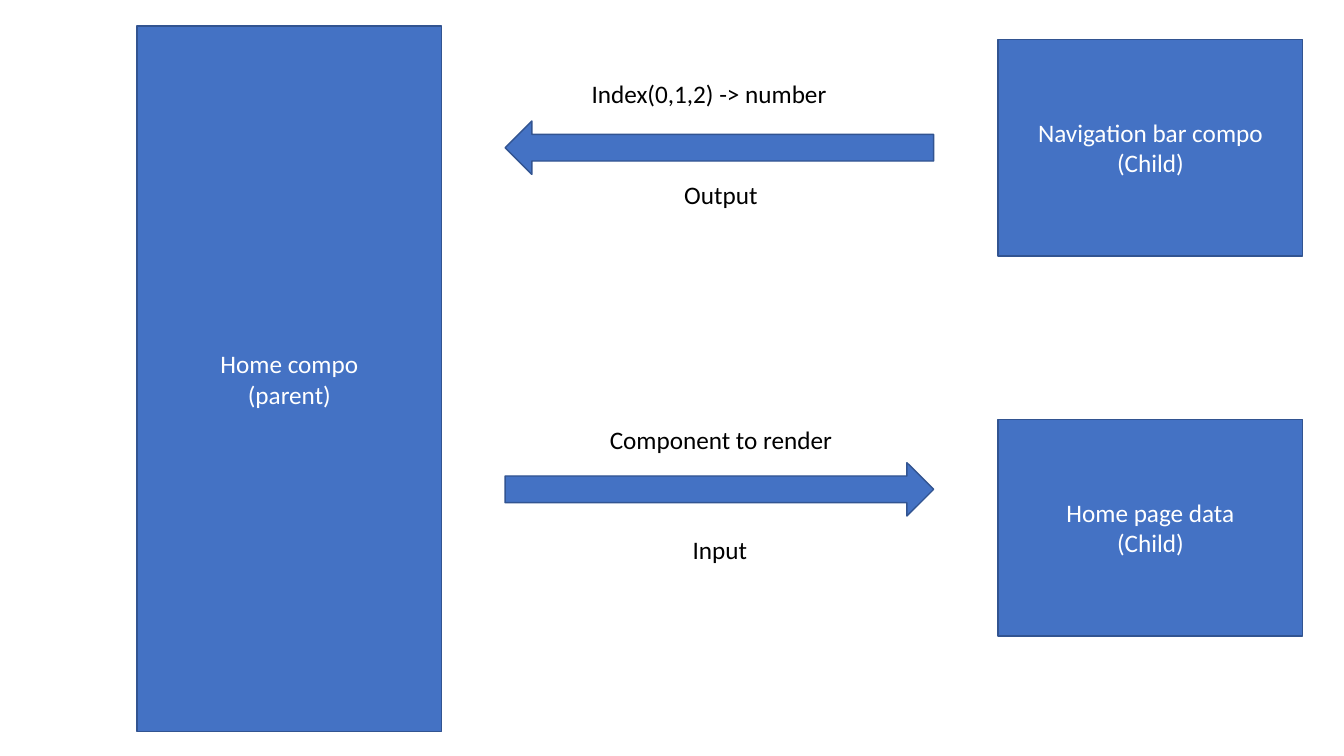
from pptx import Presentation
from pptx.dml.color import RGBColor
from pptx.enum.shapes import MSO_SHAPE
from pptx.enum.text import MSO_ANCHOR, MSO_AUTO_SIZE, PP_ALIGN
from pptx.util import Inches, Pt


def color(hex_code):
    return RGBColor.from_string(hex_code)


class ComponentDiagram:
    """Draws boxes, arrows and labels in one style on the current slide."""

    font_name = "Calibri"
    font_size = 18
    fill = "4472C4"
    outline = "325491"
    box_text = "FFFFFF"
    label_text = "000000"

    def __init__(self, page):
        self.page = page

    def shape(self, kind, left, top, width, height):
        shape = self.page.shapes.add_shape(
            kind, Inches(left), Inches(top), Inches(width), Inches(height))
        shape.shadow.inherit = False
        shape.fill.solid()
        shape.fill.fore_color.rgb = color(self.fill)
        shape.line.color.rgb = color(self.outline)
        shape.line.width = Pt(1)
        return shape

    def set_text(self, frame, lines, text_color, alignment):
        frame.word_wrap = True
        frame.text = "\n".join(lines)
        for paragraph in frame.paragraphs:
            paragraph.alignment = alignment
            paragraph.font.name = self.font_name
            paragraph.font.size = Pt(self.font_size)
            paragraph.font.color.rgb = color(text_color)

    def box(self, lines, left, top, height):
        box = self.shape(MSO_SHAPE.RECTANGLE, left, top, 3.02, height)
        box.text_frame.vertical_anchor = MSO_ANCHOR.MIDDLE
        self.set_text(box.text_frame, lines, self.box_text, PP_ALIGN.CENTER)

    def arrow(self, top, rotation=0):
        arrow = self.shape(MSO_SHAPE.RIGHT_ARROW, 5.01, top, 4.25, 0.53)
        arrow.rotation = rotation

    def label(self, text, left, top, alignment=PP_ALIGN.LEFT):
        label = self.page.shapes.add_textbox(
            Inches(left), Inches(top), Inches(2.8), Inches(0.4))
        self.set_text(label.text_frame, [text], self.label_text, alignment)
        label.text_frame.auto_size = MSO_AUTO_SIZE.SHAPE_TO_FIT_TEXT


def main():
    deck = Presentation()
    deck.slide_width = Inches(13.33)
    deck.slide_height = Inches(7.5)
    blank_layout = deck.slide_layouts[6]
    diagram = ComponentDiagram(deck.slides.add_slide(blank_layout))

    # Parent and child components
    diagram.box(["Home compo", "(parent)"], 1.36, 0.26, 7)
    diagram.box(["Navigation bar compo", "(Child)"], 9.9, 0.39, 2.15)
    diagram.box(["Home page data", "(Child)"], 9.9, 4.16, 2.15)

    # Output from the child to the parent
    diagram.label("Index(0,1,2) -> number", 5.77, 0.73)
    diagram.arrow(1.2, rotation=180)
    diagram.label("Output", 5.75, 1.73, PP_ALIGN.CENTER)

    # Input from the parent to the child
    diagram.label("Component to render", 5.95, 4.16)
    diagram.arrow(4.59)
    diagram.label("Input", 5.74, 5.25, PP_ALIGN.CENTER)

    deck.save("out.pptx")


if __name__ == "__main__":
    main()
